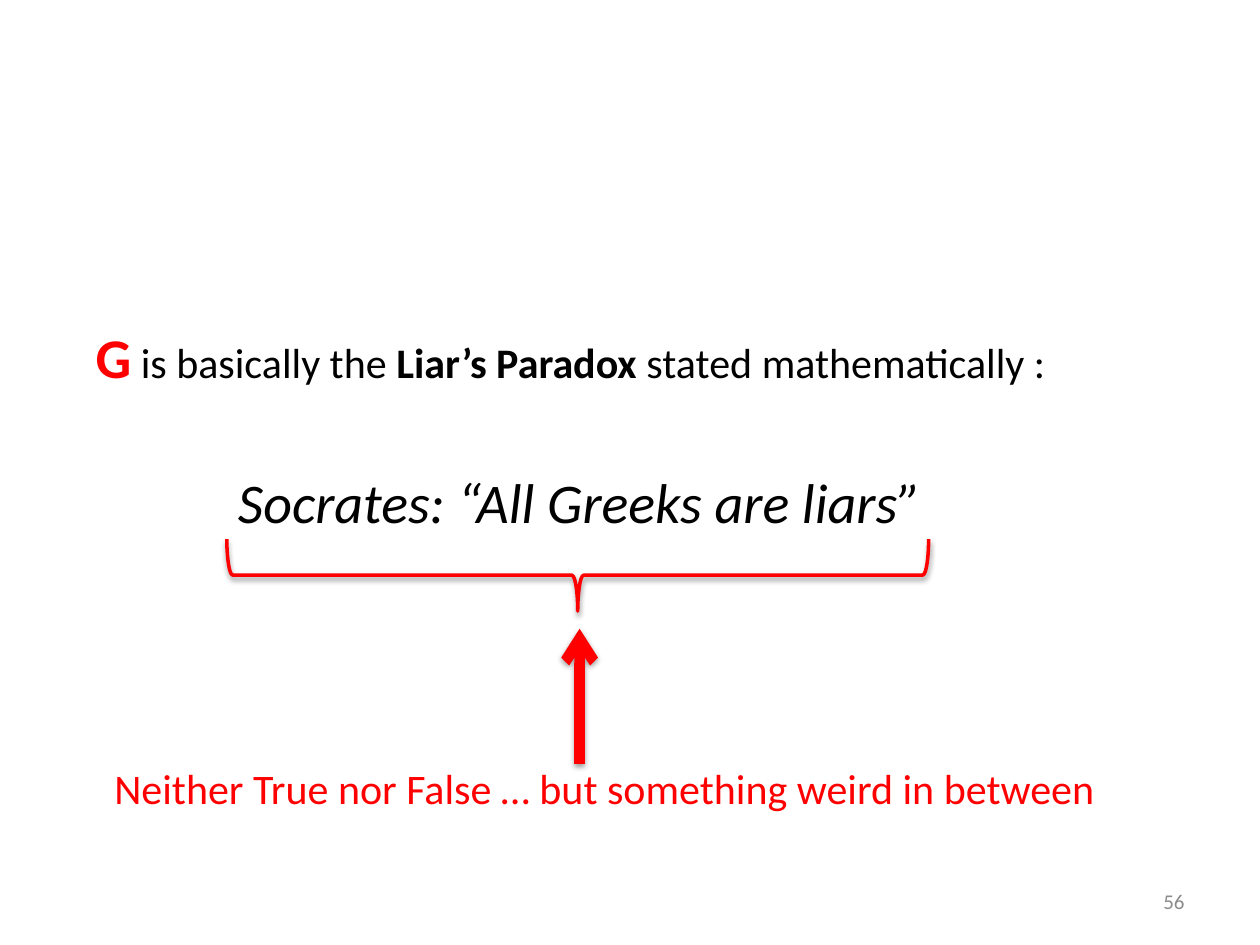
from lxml import etree
from pptx import Presentation
from pptx import util as u
from pptx.dml.color import RGBColor
from pptx.enum import shapes, text
from pptx.oxml import parse_xml
from pptx.oxml.ns import nsdecls, qn

PX = 9144  # 100 px to the inch
RED, BLACK, GREY = "FF0000", "000000", "8C8C8C"


def color(value):
    return RGBColor.from_string(value)


class SlideBuilder:
    font = "Calibri"

    def __init__(self, slide):
        self.slide = slide

    def text(self, left, top, width, height, spans, align="LEFT", **frame_format):
        """Add one paragraph; each span is (words, size, color, font format)."""
        box = self.slide.shapes.add_textbox(*(n * PX for n in (left, top, width, height)))
        frame = box.text_frame
        for name, value in {"word_wrap": True, **frame_format}.items():
            setattr(frame, name, value)
        para = frame.paragraphs[0]
        para.alignment = text.PP_ALIGN[align]
        for words, size, ink, style in spans:
            span = para.add_run()
            span.text = words
            for name, value in {"name": self.font, "size": u.Pt(size), **style}.items():
                setattr(span.font, name, value)
            span.font.color.rgb = color(ink)

    def outline(self, shape, ink, width):
        """Give a shape its line and a soft shadow below it."""
        shape.line.color.rgb = color(ink)
        shape.line.width = u.Pt(width)
        shape._element.spPr.append(parse_xml(
            f'<a:effectLst {nsdecls("a")}>'
            '<a:outerShdw blurRad="40000" dist="20000" dir="5400000" rotWithShape="0">'
            '<a:srgbClr val="000000"><a:alpha val="38000"/></a:srgbClr>'
            '</a:outerShdw></a:effectLst>'))

    def arrow(self, start, end, ink, width):
        line = self.slide.shapes.add_connector(
            shapes.MSO_CONNECTOR.STRAIGHT, *(n * PX for n in (*start, *end)))
        self.outline(line, ink, width)
        etree.SubElement(line.line._get_or_add_ln(), qn("a:tailEnd"), type="arrow")

    def brace(self, left, top, width, height, rotation, ink, line_width):
        brace = self.slide.shapes.add_shape(
            shapes.MSO_SHAPE.RIGHT_BRACE, *(n * PX for n in (left, top, width, height)))
        brace.rotation = rotation
        brace.fill.background()
        self.outline(brace, ink, line_width)


def main():
    deck = Presentation()
    deck.slide_width, deck.slide_height = 1000 * PX, 750 * PX
    page = SlideBuilder(deck.slides.add_slide(deck.slide_layouts[6]))
    grow = {"auto_size": text.MSO_AUTO_SIZE.SHAPE_TO_FIT_TEXT}

    # Slide number
    page.text(717, 695, 233, 40, [("56", 12, GREY, {})], "RIGHT",
              vertical_anchor=text.MSO_ANCHOR.MIDDLE)

    # Quotation and the verdict pointing at it
    page.text(179, 366, 712, 64,
              [("Socrates: “All Greeks are liars”", 32, BLACK, {"italic": True})], **grow)
    page.arrow((460, 606), (460, 499), RED, 6)
    page.text(81, 600, 810, 50,
              [("Neither True nor False … but something weird in between", 24, RED, {})],
              word_wrap=False, **grow)
    page.brace(430, 178, 57, 557, 90, RED, 2)

    # Opening statement
    page.text(66, 251, 901, 64, [
        ("G", 32, RED, {"bold": True}),
        (" is basically the ", 24, BLACK, {}),
        ("Liar’s Paradox ", 24, BLACK, {"bold": True}),
        ("stated mathematically :", 24, BLACK, {}),
    ], **grow)

    deck.save("out.pptx")


if __name__ == "__main__":
    main()
